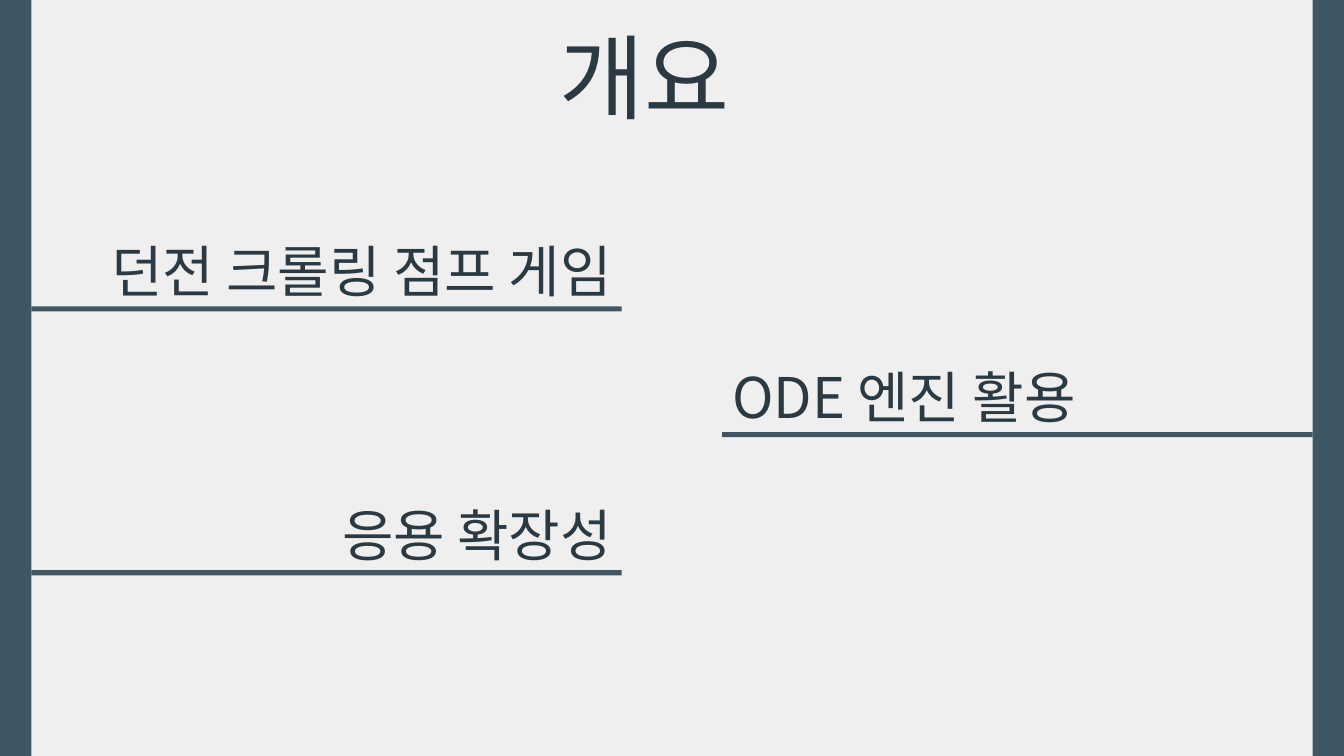
import pptx
import pptx.dml.color
import pptx.enum.shapes
import pptx.enum.text
import pptx.oxml
import pptx.oxml.ns
import pptx.util

Cm = pptx.util.Cm
RGBColor = pptx.dml.color.RGBColor
ALIGN = pptx.enum.text.PP_ALIGN

PAPER = RGBColor(0xEF, 0xEF, 0xEF)
SLATE = RGBColor(0x3F, 0x57, 0x65)
INK = RGBColor(0x2B, 0x3A, 0x42)
FONT = "Noto Sans CJK KR"

SLIDE_W, SLIDE_H = 33.87, 19.05
BAR_W = 0.79
RULE_W, RULE_H = 14.88, 0.13
RULE_DROP = 1.9
HEADING_H = 1.96


def add_bar(s, left, top, width, height):
    """Place a plain slate rectangle."""
    sp = s.shapes.add_shape(pptx.enum.shapes.MSO_SHAPE.RECTANGLE,
                            Cm(left), Cm(top), Cm(width), Cm(height))
    sp.shadow.inherit = False
    sp.fill.solid()
    sp.fill.fore_color.rgb = SLATE
    sp.line.fill.background()


def add_text(s, left, top, width, height, text, size, align):
    """Place one line of text in a box and return its text frame."""
    tf = s.shapes.add_textbox(Cm(left), Cm(top), Cm(width), Cm(height)).text_frame
    tf.word_wrap = True
    tf.vertical_anchor = pptx.enum.text.MSO_ANCHOR.MIDDLE
    p = tf.paragraphs[0]
    p.alignment = align
    r = p.add_run()
    r.text = text
    r.font.size = pptx.util.Pt(size)
    r.font.name = FONT
    r.font.color.rgb = INK
    ea = pptx.oxml.parse_xml(
        f'<a:ea {pptx.oxml.ns.nsdecls("a")} typeface="{FONT}"/>')
    r.font._element.append(ea)
    return tf


def add_title(s, left, top, width, height):
    """Place the title slightly left of the middle of its box."""
    tf = add_text(s, left, top, width, height, "개요", 66, ALIGN.CENTER)
    tf.margin_right = Cm(1.6)


def add_heading(s, left, top, width, text, align):
    """Place a heading with the rule below it."""
    add_text(s, left, top, width, HEADING_H, text, 40, align)
    add_bar(s, left, top + RULE_DROP, RULE_W, RULE_H)


def main():
    """Build the overview slide."""
    prs = pptx.Presentation()
    prs.slide_width, prs.slide_height = Cm(SLIDE_W), Cm(SLIDE_H)
    s = prs.slides.add_slide(prs.slide_layouts[6])
    s.background.fill.solid()
    s.background.fill.fore_color.rgb = PAPER

    right_edge = SLIDE_W - BAR_W
    add_title(s, 5.33, 0.38, 23.19, 3.07)
    for left in (0, right_edge):
        add_bar(s, left, 0, BAR_W, SLIDE_H)
    add_heading(s, BAR_W, 5.82, RULE_W, "던전 크롤링 점프 게임", ALIGN.RIGHT)
    add_heading(s, right_edge - RULE_W, 8.99, 13.56, "ODE 엔진 활용", ALIGN.LEFT)
    add_heading(s, BAR_W, 12.47, RULE_W, "응용 확장성", ALIGN.RIGHT)
    prs.save("out.pptx")


if __name__ == "__main__":
    main()
